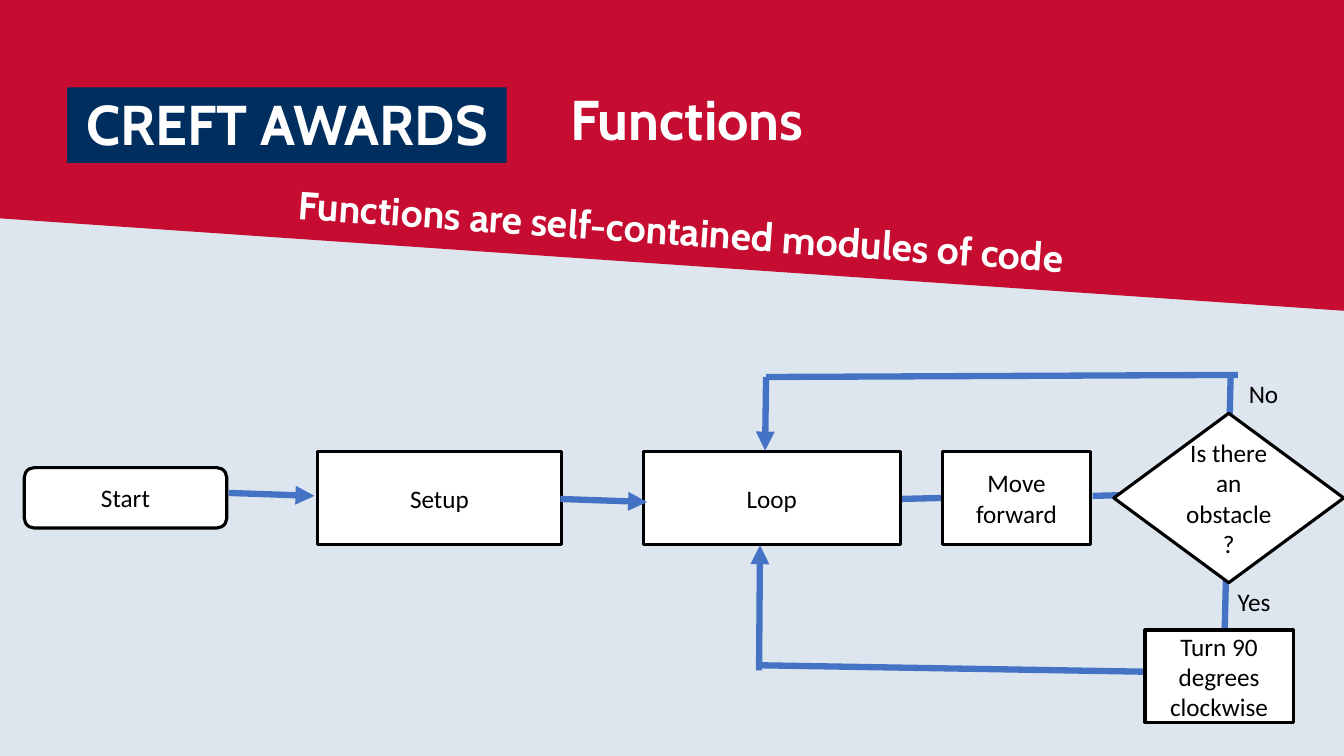
"""Builds a slide that explains functions with a robot flowchart."""
import pptx
import pptx.util
import pptx.dml.color
import pptx.enum.shapes
import pptx.enum.text
import pptx.oxml
import pptx.oxml.ns

Pt = pptx.util.Pt
RGBColor = pptx.dml.color.RGBColor
Shape = pptx.enum.shapes.MSO_SHAPE
Anchor = pptx.enum.text.MSO_ANCHOR
Align = pptx.enum.text.PP_ALIGN

RED = RGBColor(0xC6, 0x0C, 0x30)
NAVY = RGBColor(0x00, 0x2F, 0x5F)
PALE_BLUE = RGBColor(0xDD, 0xE6, 0xEE)
BLUE = RGBColor(0x44, 0x72, 0xC4)
WHITE = RGBColor(0xFF, 0xFF, 0xFF)
BLACK = RGBColor(0x00, 0x00, 0x00)

PAGE_WIDTH, PAGE_HEIGHT = 960, 540
BANNER_BOX = (0, 0, PAGE_WIDTH, 222)
FLOWCHART_BOX = (0, 264, PAGE_WIDTH, 276)

STEP_TOP, STEP_HEIGHT, ACTION_WIDTH = 58.6, 66.2, 105.8
NODES = [
    ("Start", Shape.ROUNDED_RECTANGLE, 17.3, 70, 144.7, 43.2),
    ("Setup", Shape.RECTANGLE, 226.8, STEP_TOP, 174.2, STEP_HEIGHT),
    ("Loop", Shape.RECTANGLE, 459.4, STEP_TOP, 183.6, STEP_HEIGHT),
    ("Move forward", Shape.RECTANGLE, 673.2, STEP_TOP, ACTION_WIDTH, STEP_HEIGHT),
    ("Is there an obstacle?", Shape.DIAMOND, 795.6, 31.2, 164.2, 121),
    ("Turn 90 degrees clockwise", Shape.RECTANGLE, 817.9, 186, ACTION_WIDTH, STEP_HEIGHT),
]
PLAIN_LINKS = [
    (780.5, 90.2, 810.7, 89.5),
    (547.2, 5.3, 884.2, 3.8),
    (643, 92.4, 672.5, 91.7),
    (879.1, 3.1, 874.8, 186),
    (542.9, 211.2, 841.7, 216.2),
]
ARROWS = [
    (163.4, 88.1, 224.6, 90.2),
    (400.3, 92.4, 462.2, 94.6),
    (547.2, 5.3, 546.5, 57.8),
    (542.2, 214.8, 542.9, 125.5),
]
ANSWERS = [("No", 884.9, 2.4), ("Yes", 877, 151.4)]


def write(shape, text, size, font, color, bold=False, align=Align.LEFT,
          anchor=Anchor.TOP, spacing=1.0):
    """Put one formatted paragraph into a shape."""
    frame = shape.text_frame
    frame.text = text
    frame.word_wrap = True
    frame.vertical_anchor = anchor
    para = frame.paragraphs[0]
    para.alignment = align
    para.line_spacing = spacing
    span = para.runs[0].font
    span.size, span.name, span.bold = Pt(size), font, bold
    span.color.rgb = color


def paint(shape, fill, line=None):
    """Give a shape a flat fill and an optional outline."""
    shape.shadow.inherit = False
    shape.fill.solid()
    shape.fill.fore_color.rgb = fill
    if line is None:
        shape.line.fill.background()
    else:
        shape.line.color.rgb = line
        shape.line.width = Pt(2.25)


def add_link(page, box, ends, arrow=False):
    """Draw a thick line between two points of the box."""
    left, top = box[:2]
    x1, y1, x2, y2 = ends
    link = page.shapes.add_connector(
        pptx.enum.shapes.MSO_CONNECTOR.STRAIGHT,
        Pt(left + x1), Pt(top + y1), Pt(left + x2), Pt(top + y2))
    link.line.color.rgb = BLUE
    link.line.width = Pt(4.5)
    if arrow:
        head = pptx.oxml.parse_xml(
            '<a:tailEnd %s type="triangle"/>' % pptx.oxml.ns.nsdecls("a"))
        link.line._get_or_add_ln().append(head)
    effects = pptx.oxml.parse_xml("<a:effectLst %s/>" % pptx.oxml.ns.nsdecls("a"))
    link._element.spPr.append(effects)


def add_banner(page, box):
    """Draw the slanted red banner with its headings."""
    left, top, width, height = box
    outline = page.shapes.build_freeform(Pt(left), Pt(top))
    outline.add_line_segments([
        (Pt(left + width), Pt(top)),
        (Pt(left + width), Pt(top + height)),
        (Pt(left), Pt(top + height - 66)),
    ])
    paint(outline.convert_to_shape(), RED)

    programme = page.shapes.add_shape(
        Shape.RECTANGLE, Pt(left + 48), Pt(top + 62.4), Pt(314), Pt(54))
    paint(programme, NAVY)
    write(programme, "CREFT AWARDS", 40, "Cabin", WHITE, True, Align.CENTER,
          Anchor.BOTTOM, 0.9)
    programme.text_frame.word_wrap = False

    topic = page.shapes.add_textbox(
        Pt(left + 400.3), Pt(top + 62.6), Pt(484.6), Pt(75))
    write(topic, "Functions", 40, "Cabin", WHITE, True, spacing=0.9)

    summary = page.shapes.add_textbox(
        Pt(left + 24.5), Pt(top + 144), Pt(915), Pt(167))
    write(summary, "Functions are self-contained modules of code", 28, "Cabin",
          WHITE, True, Align.CENTER)
    summary.rotation = 4


def add_flowchart(page, box):
    """Draw the program flow: links, steps, arrows and answers."""
    left, top = box[:2]
    for ends in PLAIN_LINKS:
        add_link(page, box, ends)
    for text, kind, x, y, width, height in NODES:
        node = page.shapes.add_shape(
            kind, Pt(left + x), Pt(top + y), Pt(width), Pt(height))
        paint(node, WHITE, BLACK)
        write(node, text, 18, "Calibri", BLACK, align=Align.CENTER,
              anchor=Anchor.MIDDLE)
    for ends in ARROWS:
        add_link(page, box, ends, arrow=True)
    for text, x, y in ANSWERS:
        answer = page.shapes.add_textbox(
            Pt(left + x), Pt(top + y), Pt(71.3), Pt(29))
        write(answer, text, 18, "Calibri", BLACK)


def main():
    """Build and save the deck."""
    deck = pptx.Presentation()
    deck.slide_width, deck.slide_height = Pt(PAGE_WIDTH), Pt(PAGE_HEIGHT)
    page = deck.slides.add_slide(deck.slide_layouts[6])
    page.background.fill.solid()
    page.background.fill.fore_color.rgb = PALE_BLUE
    add_banner(page, BANNER_BOX)
    add_flowchart(page, FLOWCHART_BOX)
    deck.save("out.pptx")


if __name__ == "__main__":
    main()
